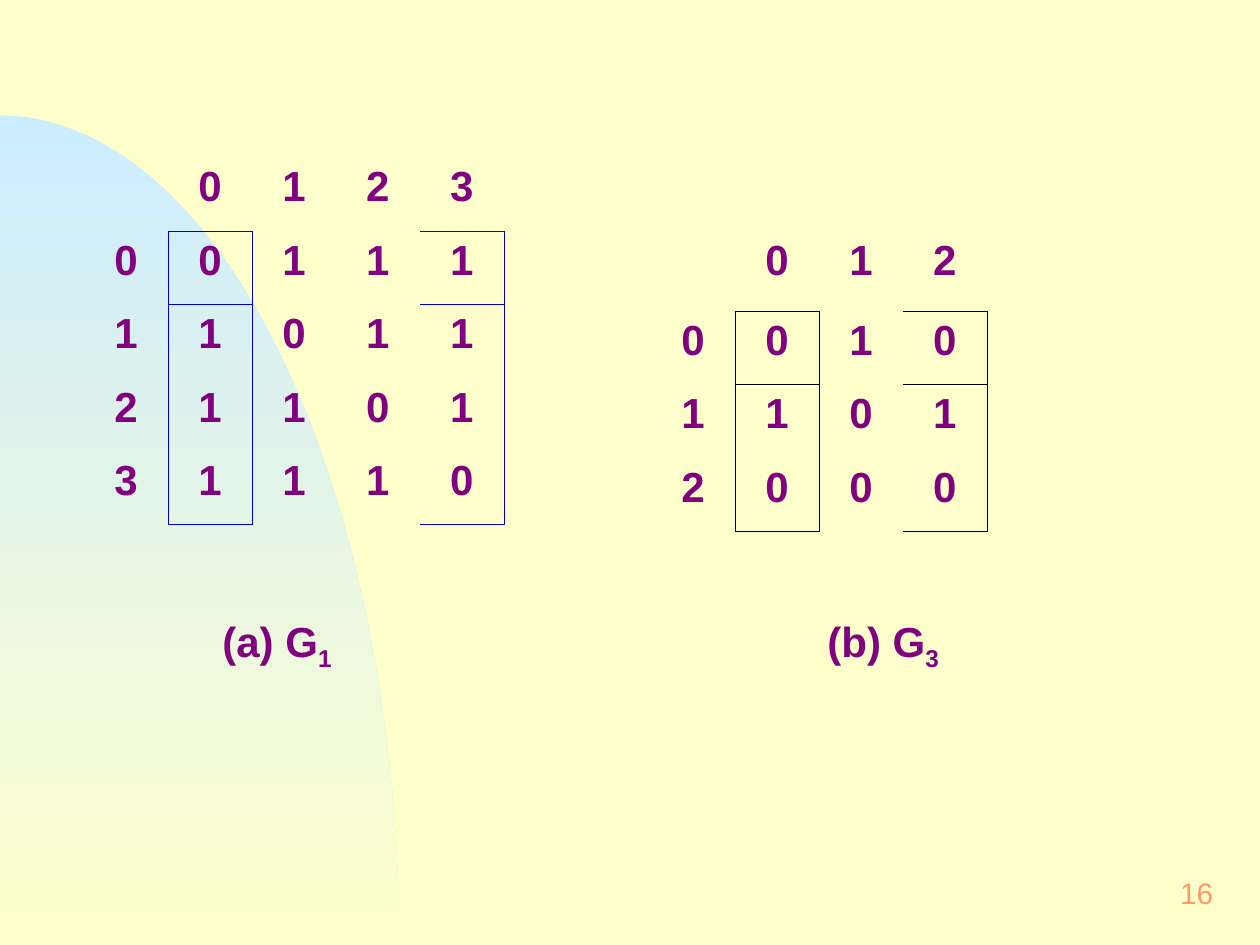
import math

import lxml.etree
import pptx
import pptx.dml.color
import pptx.enum.text
import pptx.oxml.ns
import pptx.util

Pt = pptx.util.Pt
ALIGN = pptx.enum.text.PP_ALIGN
ANCHOR = pptx.enum.text.MSO_ANCHOR
qn = pptx.oxml.ns.qn

WIDTH, HEIGHT = 720, 540
CELL_W, CELL_H = 48, 42
PURPLE = "800080"
NO_STYLE = "{2D5ABB26-0587-4C30-8999-92F81FD0307C}"
CURVE = dict(width=228, top=66, steps=90, colors=("CCECFF", "FFFFCC"))
MATRICES = [
    dict(left=48, top=90, header=42, color="0000CC",
         rows=["0111", "1011", "1101", "1110"]),
    dict(left=372, top=132, header=45.7, color="000000",
         rows=["010", "101", "000"]),
]
CAPTION = [("(a) G", 0), ("1", -25), ("\t(b) G", 0), ("3", -25)]
CAPTION_TAB = 345.7


def rgb(color):
    return pptx.dml.color.RGBColor.from_string(color)


def write(p, text, size=24, color=PURPLE, bold=True, align=None, before=0, base=0):
    p.alignment = align
    p.space_before = Pt(before)
    r = p.add_run()
    r.text = text
    r.font.name = "Arial"
    r.font.size = Pt(size)
    r.font.bold = bold
    r.font.color.rgb = rgb(color)
    if base:
        r.font._element.set("baseline", str(base * 1000))


def add_box(s, left, top, width, height):
    tf = s.shapes.add_textbox(Pt(left), Pt(top), Pt(width), Pt(height)).text_frame
    tf.word_wrap = True
    return tf


def add_curve(s, width, top, steps, colors):
    angles = [math.pi / 2 * i / steps for i in range(steps + 1)]
    points = [(Pt(width * math.sin(a)), Pt(HEIGHT - (HEIGHT - top) * math.cos(a)))
              for a in angles]
    builder = s.shapes.build_freeform(*points[0])
    builder.add_line_segments(points[1:] + [(0, Pt(HEIGHT))], close=True)
    sp = builder.convert_to_shape()
    sp.shadow.inherit = False
    sp.line.fill.background()
    sp.fill.gradient()
    sp.fill.gradient_angle = 270
    for stop, color in zip(sp.fill.gradient_stops, colors):
        stop.color.rgb = rgb(color)


def bracket_sides(row, col, n):
    outer = col in (1, n)
    sides = {
        "L": row > 0 and col == 1,
        "R": row > 0 and col in (0, n),
        "T": row == 1 and outer,
        "B": row in (0, n) and outer,
    }
    return [side for side, drawn in sides.items() if drawn]


def add_border(cell, side, color):
    tcPr = cell._tc.get_or_add_tcPr()
    ln = lxml.etree.SubElement(tcPr, qn(f"a:ln{side}"), w=str(Pt(0.45)))
    fill = lxml.etree.SubElement(ln, qn("a:solidFill"))
    lxml.etree.SubElement(fill, qn("a:srgbClr"), val=color)


def add_matrix(s, left, top, header, color, rows):
    n = len(rows)
    labels = [str(i) for i in range(n)]
    grid = [[""] + labels] + [[label, *row] for label, row in zip(labels, rows)]
    table = s.shapes.add_table(n + 1, n + 1, Pt(left), Pt(top), Pt(CELL_W * (n + 1)),
                               Pt(header + CELL_H * n)).table
    table.first_row = table.horz_banding = False
    table._tbl.tblPr.find(qn("a:tableStyleId")).text = NO_STYLE
    for i, values in enumerate(grid):
        table.rows[i].height = Pt(CELL_H if i else header)
        table.columns[i].width = Pt(CELL_W)
        for j, value in enumerate(values):
            cell = table.cell(i, j)
            for side in bracket_sides(i, j, n):
                add_border(cell, side, color)
            cell.fill.background()
            if value:
                write(cell.text_frame.paragraphs[0], value, align=ALIGN.CENTER, before=6)


def add_caption(s):
    p = add_box(s, 120, 348, 492, 40).paragraphs[0]
    for text, base in CAPTION:
        write(p, text, before=15, base=base)
    tabs = lxml.etree.SubElement(p._p.get_or_add_pPr(), qn("a:tabLst"))
    lxml.etree.SubElement(tabs, qn("a:tab"), pos=str(Pt(CAPTION_TAB)), algn="l")


def main():
    prs = pptx.Presentation()
    prs.slide_width, prs.slide_height = Pt(WIDTH), Pt(HEIGHT)
    s = prs.slides.add_slide(prs.slide_layouts[6])
    s.background.fill.solid()
    s.background.fill.fore_color.rgb = rgb("FFFFCC")
    add_curve(s, **CURVE)
    tf = add_box(s, 552, 492, 150, 36)
    tf.margin_left = tf.margin_right = Pt(8.64)
    tf.vertical_anchor = ANCHOR.MIDDLE
    write(tf.paragraphs[0], "16", size=17, color="FF9966", bold=False, align=ALIGN.RIGHT)
    for matrix in MATRICES:
        add_matrix(s, **matrix)
    add_caption(s)
    prs.save("out.pptx")


if __name__ == "__main__":
    main()
